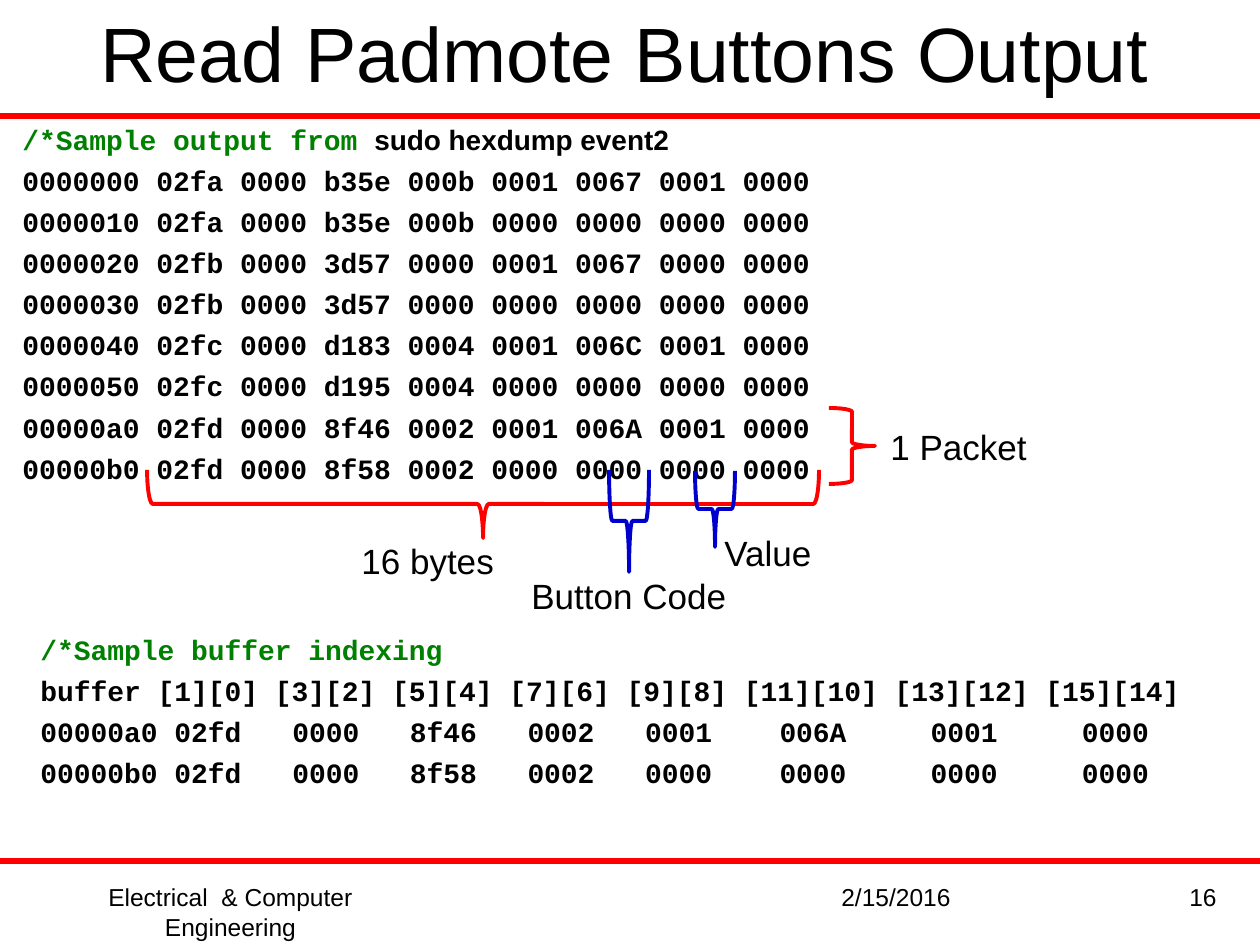
from dataclasses import dataclass

from lxml.etree import SubElement
from pptx import Presentation
from pptx.dml.color import RGBColor
from pptx.enum.shapes import MSO_CONNECTOR as Connector, MSO_SHAPE as Shape
from pptx.enum.text import MSO_ANCHOR as Anchor, PP_ALIGN as Align
from pptx.oxml.ns import qn
from pptx.util import Emu, Pt

PIXEL = 914400 // 126
PAGE_WIDTH, PAGE_HEIGHT = 1260, 945
CODE_SIZE = 16
CODE_CHAR = Pt(CODE_SIZE * 0.6)
COLORS = {"black": "000000", "red": "FF0000", "green": "008000", "blue": "0000CC"}
SANS, MONO = "Arial", "Courier New"


@dataclass
class Span:
    """A stretch of text in one style."""
    text: str
    font: str = MONO
    color: str = "black"


@dataclass
class Label:
    """A single-style text box."""
    text: str
    left: int
    top: int
    width: int
    height: int
    size: int = 20
    align: Align = Align.LEFT
    wrap: bool = False
    anchor: Anchor = Anchor.TOP


@dataclass
class Brace:
    """A right brace, given by its frame before rotation."""
    left: int
    top: int
    width: int
    height: int
    color: str
    rotation: int = 90


LABELS = [
    Label("Read Padmote Buttons Output", 58, 13, 1134, 78, 44, Align.CENTER, True, Anchor.MIDDLE),
    Label("2/15/2016", 829, 876, 294, 65, 14, wrap=True),
    Label("Electrical  & Computer Engineering", 31, 876, 399, 65, 14, Align.CENTER, True),
    Label("16", 1155, 876, 74, 65, 14, Align.RIGHT, True),
    Label("16 bytes", 349, 533, 159, 55),
    Label("1 Packet", 878, 419, 163, 55),
    Label("Button Code", 519, 568, 222, 55),
    Label("Value", 712, 525, 113, 55),
]
BRACES = [
    Brace(449, 168, 68, 672, "red"),
    Brace(829, 408, 46, 76, "red", 0),
    Brace(677, 489, 76, 40, "blue"),
    Brace(578, 501, 102, 40, "blue"),
]
RULES = [116, 861]
DUMP = [
    "0000000 02fa 0000 b35e 000b 0001 0067 0001 0000",
    "0000010 02fa 0000 b35e 000b 0000 0000 0000 0000",
    "0000020 02fb 0000 3d57 0000 0001 0067 0000 0000",
    "0000030 02fb 0000 3d57 0000 0000 0000 0000 0000",
    "0000040 02fc 0000 d183 0004 0001 006C 0001 0000",
    "0000050 02fc 0000 d195 0004 0000 0000 0000 0000",
    "00000a0 02fd 0000 8f46 0002 0001 006A 0001 0000",
    "00000b0 02fd 0000 8f58 0002 0000 0000 0000 0000",
]
BUFFER_HEAD = "buffer [1][0] [3][2] [5][4] [7][6] [9][8] [11][10] [13][12] [15][14]"
BUFFER_STOPS = [15, 22, 29, 36, 44, 53, 62]


def px(value: int) -> Emu:
    """Turn pixels into EMU."""
    return Emu(value * PIXEL)


def rgb(name: str) -> RGBColor:
    """Look up a named colour."""
    return RGBColor.from_string(COLORS[name])


def style(run, font: str, size: int, color: str, bold: bool = False) -> None:
    """Format one run."""
    run.font.name, run.font.size, run.font.bold = font, Pt(size), bold
    run.font.color.rgb = rgb(color)


def add_box(page, left: int, top: int, width: int, height: int, wrap: bool = True):
    """Add a text box and return its text frame."""
    box = page.shapes.add_textbox(px(left), px(top), px(width), px(height))
    box.text_frame.word_wrap = wrap
    return box.text_frame


def add_label(page, label: Label) -> None:
    """Draw a single-style text."""
    frame = add_box(page, label.left, label.top, label.width, label.height, label.wrap)
    frame.vertical_anchor = label.anchor
    frame.text = label.text
    para = frame.paragraphs[0]
    para.alignment = label.align
    style(para.runs[0], SANS, label.size, "black")


def add_tab_stops(para, columns: list[int]) -> None:
    """Set left tab stops, counted in code characters."""
    stops = SubElement(para._p.get_or_add_pPr(), qn("a:tabLst"))
    for column in columns:
        SubElement(stops, qn("a:tab"), pos=str(column * CODE_CHAR), algn="l")


def add_code(page, frame, lines: list[list[Span]]) -> None:
    """Fill a frame with bold code lines."""
    for index, spans in enumerate(lines):
        para = frame.paragraphs[0] if index == 0 else frame.add_paragraph()
        para.space_before = Pt(4.3)
        for span in spans:
            run = para.add_run()
            run.text = span.text
            style(run, span.font, CODE_SIZE, span.color, True)
        if any("\t" in span.text for span in spans):
            add_tab_stops(para, BUFFER_STOPS)


def add_rule(page, top: int) -> None:
    """Draw a red line across the page."""
    rule = page.shapes.add_connector(Connector.STRAIGHT, 0, px(top), px(PAGE_WIDTH), px(top))
    rule.line.color.rgb, rule.line.width = rgb("red"), Pt(3.5)
    SubElement(rule._element.spPr, qn("a:effectLst"))


def add_brace(page, brace: Brace) -> None:
    """Draw an unfilled brace."""
    shape = page.shapes.add_shape(Shape.RIGHT_BRACE, px(brace.left), px(brace.top),
                                  px(brace.width), px(brace.height))
    shape.rotation = brace.rotation
    shape.shadow.inherit = False
    shape.fill.background()
    shape.line.color.rgb, shape.line.width = rgb(brace.color), Pt(2.25)


def buffer_row(line: str) -> Span:
    """Lay a dump line out under the buffer heading."""
    address, first, *words = line.split()
    return Span("\t".join([f"{address} {first}", *words]))


def main() -> None:
    """Build and save the deck."""
    deck = Presentation()
    deck.slide_width, deck.slide_height = px(PAGE_WIDTH), px(PAGE_HEIGHT)
    page = deck.slides.add_slide(deck.slide_layouts[6])
    for top in RULES:
        add_rule(page, top)
    heading = [Span("/*Sample output from ", color="green"), Span("sudo hexdump event2", SANS)]
    add_code(page, add_box(page, 10, 116, 1239, 359),
             [heading, *([Span(line)] for line in DUMP)])
    add_code(page, add_box(page, 28, 626, 1202, 207),
             [[Span("/*Sample buffer indexing", color="green")], [Span(BUFFER_HEAD)],
              *([buffer_row(line)] for line in DUMP[-2:])])
    for brace in BRACES:
        add_brace(page, brace)
    for label in LABELS:
        add_label(page, label)
    deck.save("out.pptx")


main()
